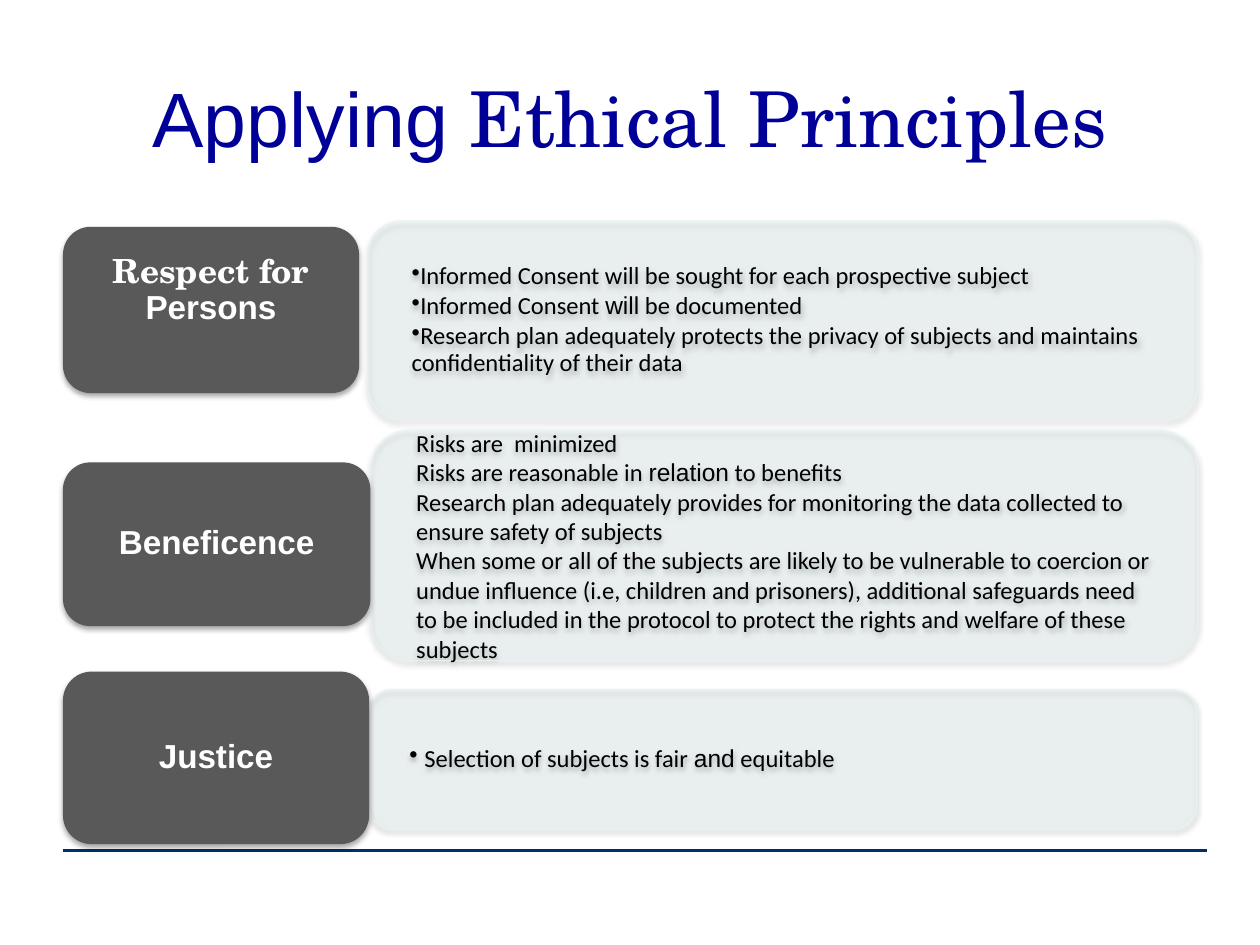
from lxml.etree import SubElement
from pptx import Presentation
from pptx.dml.color import RGBColor
from pptx.enum.shapes import MSO_CONNECTOR, MSO_SHAPE
from pptx.enum.text import MSO_ANCHOR, PP_ALIGN
from pptx.oxml.ns import qn
from pptx.util import Inches, Pt

SANS, BODY, SERIF = "Arial", "Calibri", "TeX Gyre Schola"

deck = Presentation()
deck.slide_width, deck.slide_height = Inches(10), Inches(7.5)
page = deck.slides.add_slide(deck.slide_layouts[6])
COLUMN, ROW = deck.slide_width / 100, deck.slide_height / 100


def paint(target, hex_color, alpha=100):
    """Colour a font, or a fill or line with the given opacity in percent."""
    fill = target if hasattr(target, "solid") else target.fill
    fill.solid()
    fill.fore_color.rgb = RGBColor.from_string(hex_color)
    if alpha < 100:
        color = fill._xPr.find(qn("a:solidFill"))[0]
        SubElement(color, qn("a:alpha"), val=str(alpha * 1000))


def write(box, paragraphs, size, hex_color, align, spacing=1.0, after=0, bold=False, indent=None):
    """Fill a box with paragraphs of (text, font) spans; an indent in inches brings bullets."""
    frame = box.text_frame
    frame.word_wrap = True
    frame.vertical_anchor = MSO_ANCHOR.MIDDLE
    for number, spans in enumerate(paragraphs):
        para = frame.add_paragraph() if number else frame.paragraphs[0]
        para.alignment, para.line_spacing, para.space_after = align, spacing, Pt(after)
        if indent is not None:
            properties = para._p.get_or_add_pPr()
            properties.set("marL", str(Inches(indent)))
            properties.set("indent", str(-Inches(indent)))
            SubElement(properties, qn("a:buChar"), char="•")
        for text, font in spans:
            span = para.add_run()
            span.text = text
            span.font.name, span.font.size, span.font.bold = font, Pt(size), bold
            paint(span.font, hex_color)


rule = page.shapes.add_connector(
    MSO_CONNECTOR.STRAIGHT, int(5 * COLUMN), int(90 * ROW), int(95.8 * COLUMN), int(90 * ROW))
paint(rule.line, "003067")
rule.line.width = Pt(2.25)
SubElement(rule._element.spPr, qn("a:effectLst"))

title = page.shapes.add_textbox(int(5 * COLUMN), int(4 * ROW), int(90 * COLUMN), int(16.67 * ROW))
write(title, [[("Applying", SANS), (" Ethical Principles", SERIF)]], 44, "000099", PP_ALIGN.CENTER)

# Each principle: label place and spans, then panel place, text style and paragraphs.
# Places are left, top, width and height in percent of the slide.
principles = [
    ((5, 24, 23.5, 17.6), [("Respect for ", SERIF), ("Persons", SANS)],
     (29.2, 23.4, 65.8, 20.93), dict(spacing=0.9, after=2, indent=0), [
        [("Informed Consent will be sought for each prospective subject", BODY)],
        [("Informed Consent ", BODY), ("will", SANS), (" be documented", BODY)],
        [("Research plan adequately protects the privacy of subjects and maintains "
          "confidentiality of their data", BODY)]]),
    ((5, 48.93, 24.4, 17.33), [("Beneficence", SANS)],
     (29.45, 45.53, 65.6, 24.4), dict(), [
        [("Risks are  minimized", BODY)],
        [("Risks are reasonable in ", BODY), ("relation", SANS), (" to benefits", BODY)],
        [("Research plan adequately provides for monitoring the data collected to "
          "ensure safety of subjects", BODY)],
        [("When some or all of the subjects are likely to be vulnerable to coercion or "
          "undue influence (i.e, children and prisoners), additional safeguards need to be "
          "included in the protocol to protect the rights and welfare of these subjects", BODY)]]),
    ((5, 71.07, 24.3, 18.27), [("Justice", SANS)],
     (29.25, 73, 65.7, 14.67), dict(spacing=0.9, after=2, indent=0.12), [
        [("Selection of subjects is fair ", BODY), ("and", SANS), (" equitable", BODY)]]),
]

for label_place, label_spans, panel_place, panel_style, panel_paragraphs in principles:
    boxes = []
    for place, fill, alpha, side, edge in (
            (panel_place, "BBE0E3", 15, 0.27, 0.14), (label_place, "595959", 100, 0.08, 0.04)):
        left, top, width, height = place
        box = page.shapes.add_shape(MSO_SHAPE.ROUNDED_RECTANGLE, int(left * COLUMN),
                                    int(top * ROW), int(width * COLUMN), int(height * ROW))
        paint(box.fill, fill, alpha)
        box.line.fill.background()
        box.shadow.inherit = False
        shadow = SubElement(box._element.spPr.find(qn("a:effectLst")), qn("a:outerShdw"),
                            blurRad=str(Pt(3.1)), dist=str(Pt(1.8)), dir="5400000", rotWithShape="0")
        shade = SubElement(shadow, qn("a:srgbClr"), val="000000")
        SubElement(shade, qn("a:alpha"), val="35000")
        frame = box.text_frame
        frame.margin_left = frame.margin_right = Inches(side)
        frame.margin_top = frame.margin_bottom = Inches(edge)
        boxes.append(box)
    panel, label = boxes
    paint(panel.line.fill, "E7F3F4", 90)
    panel.line.width = Pt(0.75)
    write(panel, panel_paragraphs, 14, "000000", PP_ALIGN.LEFT, **panel_style)
    write(label, [label_spans], 19, "FFFFFF", PP_ALIGN.CENTER, spacing=0.9, bold=True)
    if len(label_spans) > 1:
        label.text_frame.margin_bottom = Inches(0.34)  # lifts the two-line label

deck.save("out.pptx")
